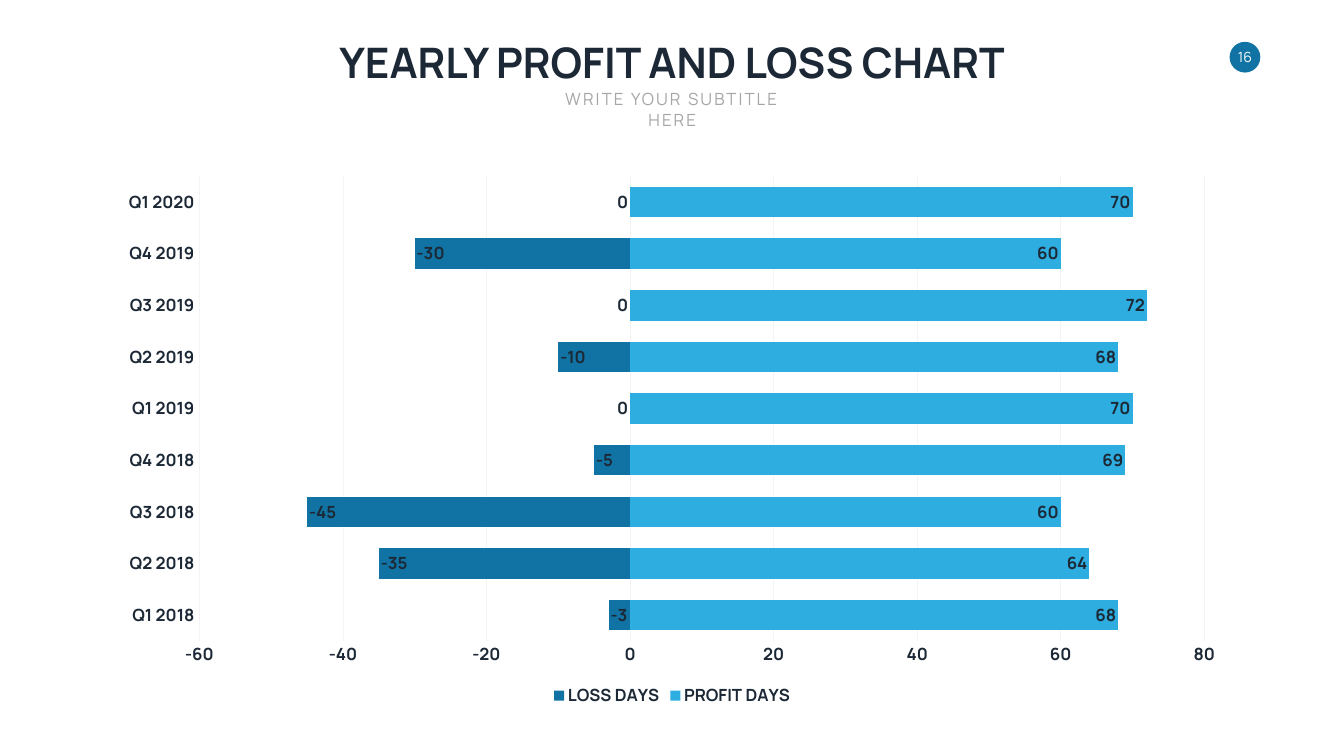
from pptx import Presentation
from pptx.chart.data import CategoryChartData
from pptx.dml.color import RGBColor
from pptx.enum.chart import XL_CHART_TYPE as Kind, XL_LABEL_POSITION as Spot
from pptx.enum.chart import XL_LEGEND_POSITION as Side, XL_TICK_LABEL_POSITION as Place
from pptx.enum.chart import XL_TICK_MARK as Tick
from pptx.enum.shapes import MSO_SHAPE as Shape
from pptx.enum.text import MSO_ANCHOR as Anchor, MSO_AUTO_SIZE as Fit, PP_ALIGN as Align
from pptx.util import Inches, Pt

FACE = "Manrope"
INK, NAVY, SKY, GRAY, PALE, WHITE = "1C2835", "1073A3", "2DADE0", "A6A6A6", "F4F4F4", "FFFFFF"
CATS = ["Q1 2018", "Q2 2018", "Q3 2018", "Q4 2018", "Q1 2019",
        "Q2 2019", "Q3 2019", "Q4 2019", "Q1 2020"]
LOSS = [-3, -35, -45, -5, 0, -10, 0, -30, 0]
PROFIT = [68, 64, 60, 69, 70, 68, 72, 60, 70]


def paint(color, code):
    color.rgb = RGBColor.from_string(code)


def style(font, size, code, bold=False):
    font.name, font.size, font.bold = FACE, Pt(size), bold
    paint(font.color, code)


def stroke(line):
    line.width = Pt(0.75)
    line.fill.solid()
    paint(line.fill.fore_color, PALE)


def place(shape, left, top, width, height):
    shape.left, shape.top = Inches(left), Inches(top)
    shape.width, shape.height = Inches(width), Inches(height)


def write(shape, text, size, code, bold=False, wrap=False, anchor=Anchor.TOP, gap=0):
    frame = shape.text_frame
    frame.text = text
    frame.word_wrap, frame.vertical_anchor = wrap, anchor
    frame.auto_size = Fit.NONE
    para = frame.paragraphs[0]
    para.alignment = Align.CENTER
    style(para.font, size, code, bold)
    if gap:
        para.runs[0].font._element.set("spc", str(gap * 100))


def add_title(slide):
    title = slide.shapes.title
    place(title, 6.38, 0.67, 13.9, 1.11)
    write(title, "YEARLY PROFIT AND LOSS CHART", 60, INK, bold=True)


def add_sub(slide):
    box = slide.shapes.add_textbox(*map(Inches, (10.62, 1.72, 5.43, 0.5)))
    write(box, "WRITE YOUR SUBTITLE HERE", 24, GRAY, wrap=True, gap=3)


def add_badge(slide):
    badge = slide.shapes.add_shape(Shape.OVAL, *map(Inches, (24.39, 0.83, 0.61, 0.61)))
    badge.shadow.inherit = False
    badge.fill.solid()
    paint(badge.fill.fore_color, NAVY)
    badge.line.fill.background()
    frame = badge.text_frame
    frame.margin_left = frame.margin_right = frame.margin_top = frame.margin_bottom = 0
    write(badge, "16", 20, WHITE, anchor=Anchor.MIDDLE)


def set_axis(axis):
    axis.major_tick_mark = axis.minor_tick_mark = Tick.NONE
    style(axis.tick_labels.font, 24, INK, True)


def set_bars(bars, code):
    bars.format.fill.solid()
    paint(bars.format.fill.fore_color, code)
    bars.invert_if_negative = False
    labels = bars.data_labels
    labels.show_value = True
    labels.position = Spot.INSIDE_END
    style(labels.font, 24, INK, True)


def add_bars(slide):
    data = CategoryChartData()
    data.categories = CATS
    data.add_series("LOSS DAYS", LOSS)
    data.add_series("PROFIT DAYS", PROFIT)
    area = map(Inches, (2.11, 3.28, 22.44, 10.82))
    chart = slide.shapes.add_chart(Kind.BAR_STACKED, *area, data).chart
    style(chart.font, 24, INK, True)
    chart.has_title = False
    chart.has_legend = True
    chart.legend.position = Side.BOTTOM
    chart.legend.include_in_layout = False
    style(chart.legend.font, 24, INK, True)

    cats, vals = chart.category_axis, chart.value_axis
    set_axis(cats)
    set_axis(vals)
    cats.tick_label_position = Place.LOW
    stroke(cats.format.line)
    vals.format.line.fill.background()
    vals.minimum_scale, vals.maximum_scale, vals.major_unit = -60, 80, 20
    vals.has_major_gridlines = True
    stroke(vals.major_gridlines.format.line)

    plot = chart.plots[0]
    plot.gap_width, plot.overlap, plot.vary_by_categories = 70, 100, False
    for bars, code in zip(plot.series, (NAVY, SKY)):
        set_bars(bars, code)


def main():
    deck = Presentation()
    deck.slide_width, deck.slide_height = Inches(26.66), Inches(15)
    slide = deck.slides.add_slide(deck.slide_layouts[5])
    slide.background.fill.solid()
    paint(slide.background.fill.fore_color, WHITE)
    add_badge(slide)
    add_title(slide)
    add_sub(slide)
    add_bars(slide)
    deck.save("out.pptx")


main()
